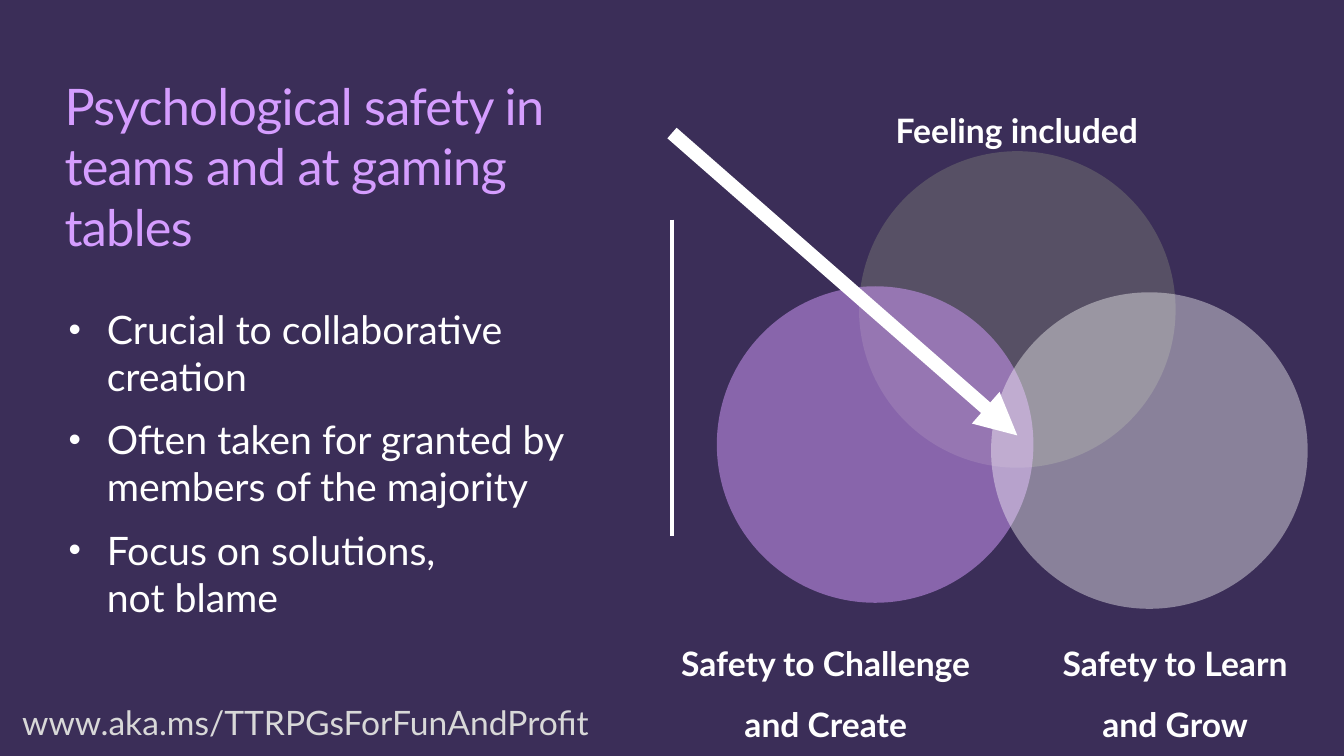
from lxml import etree
from pptx import Presentation
from pptx.dml.color import RGBColor
from pptx.enum.shapes import MSO_CONNECTOR, MSO_SHAPE
from pptx.enum.text import MSO_ANCHOR, PP_ALIGN
from pptx.oxml.ns import qn
from pptx.util import Inches, Pt

NIGHT = RGBColor(0x3B, 0x2E, 0x58)
LILAC = RGBColor(0xD5, 0x9D, 0xFF)
WHITE = RGBColor(0xFF, 0xFF, 0xFF)
GRAY = RGBColor(0x73, 0x73, 0x73)
PALE = RGBColor(0xD8, 0xD8, 0xD8)
LEFT, CENTER = PP_ALIGN.LEFT, PP_ALIGN.CENTER
TOP, MIDDLE = MSO_ANCHOR.TOP, MSO_ANCHOR.MIDDLE
OVAL, STRAIGHT = MSO_SHAPE.OVAL, MSO_CONNECTOR.STRAIGHT
FONT = "Lato"
WIDE, HIGH = 13.33, 7.5
MID = WIDE / 2
DISC = 3.14

POINTS = [
    "Crucial to collaborative creation",
    "Often taken for granted by members of the majority",
    "Focus on solutions,\vnot blame",
]
# Circle: left, top, colour, opacity; label: left, top, width, text
CIRCLES = [
    (1.9, 0.66, GRAY, 50, 1.41, 0, 4.11, "Feeling included"),
    (0.49, 2, LILAC, 50, 0, 5.29, 3.14, "Safety to Challenge and Create"),
    (3.21, 2.06, WHITE, 40, 3.68, 5.29, 2.71, "Safety to Learn\vand Grow"),
]


def add(parent, tag, **attrs):
    return etree.SubElement(parent, qn(tag), attrs)


def bullet(para):
    props = para._p.get_or_add_pPr()
    props.set("marL", str(Inches(0.38)))
    props.set("indent", str(-Inches(0.38)))
    add(props, "a:buSzPct", val="90000")
    add(props, "a:buFont", typeface="Arial")
    add(props, "a:buChar", char="•")


def write(shape, *lines, size=24, color=WHITE, bold=False, align=LEFT,
          anchor=TOP, inset=0, track=0, dots=False, lead=None, gap=0):
    frame = shape.text_frame
    frame.word_wrap = True
    frame.vertical_anchor = anchor
    frame.margin_left = frame.margin_right = Inches(inset)
    frame.margin_top = frame.margin_bottom = Inches(inset / 2)
    for i, line in enumerate(lines):
        para = frame.add_paragraph() if i else frame.paragraphs[0]
        para.text = line
        para.alignment = align
        if dots:
            bullet(para)
        if lead:
            para.line_spacing = lead
        if gap:
            para.space_before = Pt(gap if i else 0)
            para.space_after = Pt(6)
        for run in para.runs:
            font = run.font
            font.name, font.size, font.bold = FONT, Pt(size), bold
            font.color.rgb = color
            if track:
                run._r.get_or_add_rPr().set("spc", str(track))


def place(shape, *box):
    shape.left, shape.top, shape.width, shape.height = map(Inches, box)


def text_box(slide, box, *lines, **form):
    write(slide.shapes.add_textbox(*map(Inches, box)), *lines, **form)


def draw_line(slide, ends, width, arrow=False):
    line = slide.shapes.add_connector(STRAIGHT, *map(Inches, ends))
    line.line.color.rgb = WHITE
    line.line.width = Pt(width)
    if arrow:
        add(line.line._get_or_add_ln(), "a:tailEnd", type="triangle")
    add(line._element.spPr, "a:effectLst")


def draw_disc(slide, x, y, color, alpha):
    disc = slide.shapes.add_shape(OVAL, *map(Inches, (x, y, DISC, DISC)))
    disc.shadow.inherit = False
    disc.fill.solid()
    disc.fill.fore_color.rgb = color
    tone = disc._element.spPr.find(qn("a:solidFill"))[0]
    add(tone, "a:alpha", val=str(alpha * 1000))
    disc.line.fill.background()


# Title and bullet list
def message(slide, x, y, w):
    title = slide.shapes.title
    place(title, x, y, w, 2.01)
    write(title, "Psychological safety in teams and at gaming tables",
          size=36, color=LILAC, anchor=MIDDLE, track=-50)
    text_box(slide, (x + 0.04, y + 2.11, w + 0.05, 3.68), *POINTS,
             size=28, anchor=MIDDLE, dots=True, gap=5.6)


# Overlapping circles with labels and the arrow to their centre
def venn(slide, x, y):
    for cx, cy, color, alpha, tx, ty, w, label in CIRCLES:
        text_box(slide, (x + tx, y + ty, w, 0.6), label, bold=True,
                 align=CENTER, inset=0.1, lead=1.5)
        draw_disc(slide, x + cx, y + cy, color, alpha)
    draw_line(slide, (MID, y + 0.48, x + 3.47, y + 3.48), 10, arrow=True)


# Web address along the bottom
def footer(slide, x, y, w):
    text_box(slide, (x, y, w, 0.4), "www.aka.ms/TTRPGsForFunAndProfit",
             color=PALE)


def main():
    deck = Presentation()
    deck.slide_width, deck.slide_height = Inches(WIDE), Inches(HIGH)
    slide = deck.slides.add_slide(deck.slide_layouts[5])
    slide.background.fill.solid()
    slide.background.fill.fore_color.rgb = NIGHT
    draw_line(slide, (MID, 2.18, MID, HIGH - 2.18), 2.25)
    message(slide, 0.64, 0.64, 5.35)
    venn(slide, 6.62, 0.84)
    footer(slide, 0.22, 6.96, 12.96)
    deck.save("out.pptx")


if __name__ == "__main__":
    main()
